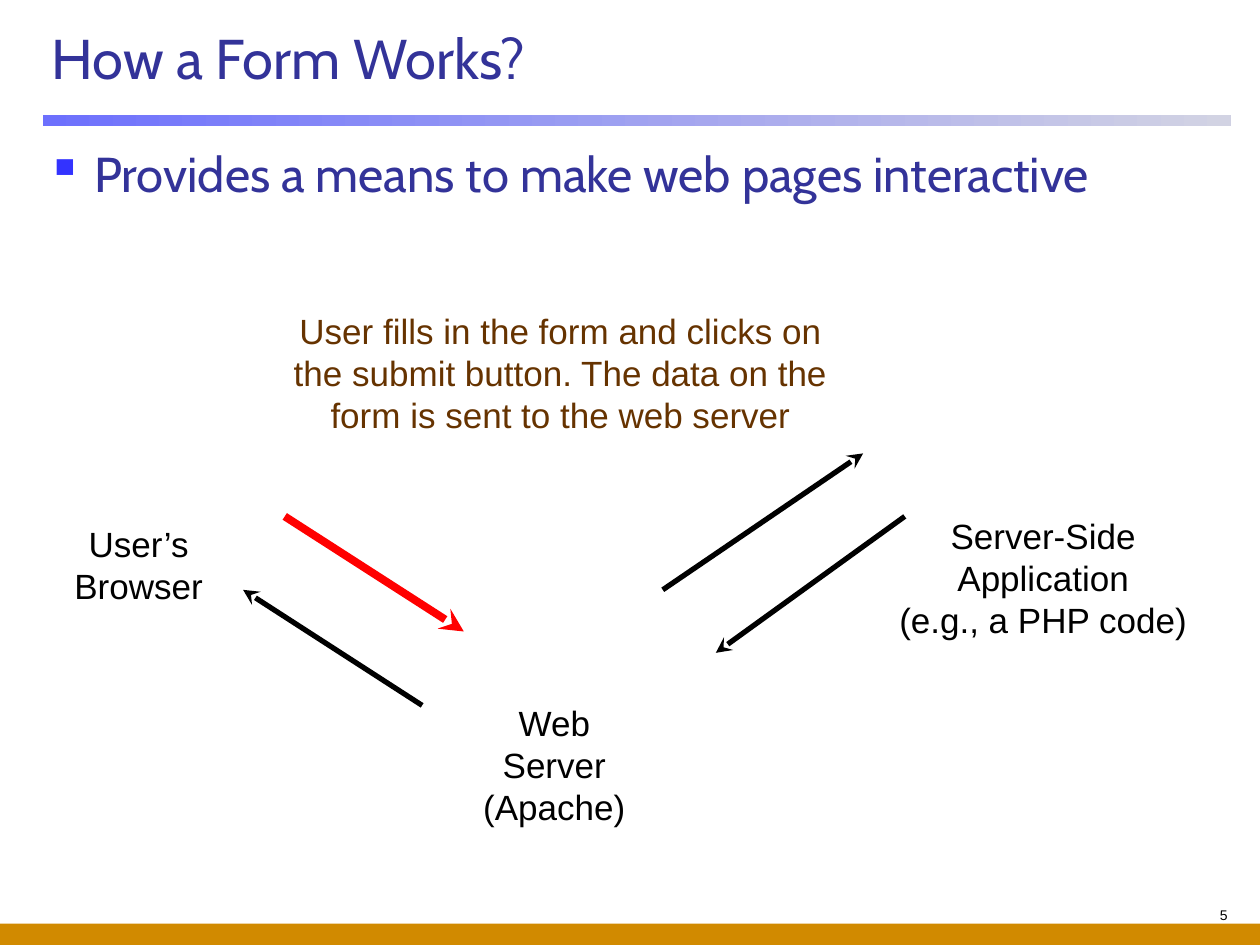
"""Build a slide that shows how a web form travels between browser, server and application."""
from lxml import etree
from pptx import Presentation
from pptx.dml.color import RGBColor
from pptx.enum import shapes, text
from pptx.oxml import ns
from pptx.util import Cm, Pt

BLACK = RGBColor(0x00, 0x00, 0x00)
NAVY = RGBColor(0x33, 0x33, 0x99)
BLUE = RGBColor(0x33, 0x33, 0xFF)
BROWN = RGBColor(0x66, 0x33, 0x00)
RED = RGBColor(0xFF, 0x00, 0x00)
GOLD = RGBColor(0xD1, 0x8A, 0x00)
FADE = RGBColor(0x6D, 0x70, 0xFD), RGBColor(0xD2, 0xD3, 0xE3)
MID = text.PP_ALIGN.CENTER


def add_bar(slide, box, *hues):
    shape = slide.shapes.add_shape(shapes.MSO_SHAPE.RECTANGLE, *map(Cm, box))
    shape.shadow.inherit = False
    shape.line.fill.background()
    if len(hues) == 1:
        shape.fill.solid()
        shape.fill.fore_color.rgb = hues[0]
    else:
        shape.fill.gradient()
        shape.fill.gradient_angle = 0
        for stop, hue in zip(shape.fill.gradient_stops, hues):
            stop.color.rgb = hue


def add_bullet(para, mark, hue, indent):
    props = para._p.get_or_add_pPr()
    props.set("marL", str(Cm(indent)))
    props.set("indent", str(-Cm(indent)))
    color = etree.SubElement(props, ns.qn("a:buClr"))
    etree.SubElement(color, ns.qn("a:srgbClr"), val=str(hue))
    etree.SubElement(props, ns.qn("a:buChar"), char=mark)


def add_text(slide, words, box, size=20, font="Arial", hue=BLACK,
             align=text.PP_ALIGN.LEFT, anchor=text.MSO_ANCHOR.TOP, mark=None):
    frame = slide.shapes.add_textbox(*map(Cm, box)).text_frame
    frame.word_wrap = True
    frame.vertical_anchor = anchor
    frame.text = words
    para = frame.paragraphs[0]
    para.alignment = align
    if mark:
        add_bullet(para, mark, BLUE, 0.96)
    para.font.size = Pt(size)
    para.font.name = font
    para.font.color.rgb = hue


def add_arrow(slide, start, end, hue=BLACK, width=3):
    arrow = slide.shapes.add_connector(
        shapes.MSO_CONNECTOR.STRAIGHT, *map(Cm, start + end))
    arrow.line.color.rgb = hue
    arrow.line.width = Pt(width)
    etree.SubElement(arrow.line._get_or_add_ln(), ns.qn("a:tailEnd"), type="stealth")
    etree.SubElement(arrow._element.spPr, ns.qn("a:effectLst"))


def main():
    deck = Presentation()
    deck.slide_width, deck.slide_height = Cm(25.4), Cm(19.05)
    slide = deck.slides.add_slide(deck.slide_layouts[6])

    add_bar(slide, (0, 18.62, 25.4, 0.43), GOLD)
    add_bar(slide, (0.86, 2.31, 23.95, 0.23), *FADE)
    add_text(slide, "How a Form Works?", (0.79, 0.25, 24.4, 1.8), size=32,
             font="Cabin", hue=NAVY, anchor=text.MSO_ANCHOR.MIDDLE)
    add_text(slide, "Provides a means to make web pages interactive",
             (0.69, 2.77, 24, 15.57), size=28, font="Cabin", hue=NAVY, mark="▪")
    add_text(slide, "5", (21.39, 18.16, 3.61, 0.84), size=8, align=text.PP_ALIGN.RIGHT)

    add_arrow(slide, (5.74, 10.41), (9.35, 12.73), hue=RED, width=4.5)
    add_arrow(slide, (13.36, 11.89), (17.4, 9.14))
    add_arrow(slide, (18.24, 10.41), (14.43, 13.16))
    add_arrow(slide, (8.51, 14.22), (4.9, 11.89))

    add_text(slide, "Web Server (Apache)", (9.17, 14.02, 4.01, 4.11), align=MID)
    add_text(slide, "Server-Side Application\v(e.g., a PHP code)",
             (17.73, 10.24, 6.6, 2.82), align=MID)
    add_text(slide, "User fills in the form and clicks on the submit button. "
             "The data on the form is sent to the web server",
             (5.38, 6.12, 11.84, 1.96), hue=BROWN, align=MID)
    add_text(slide, "User’s Browser", (0.79, 10.41, 4.01, 1.96), align=MID)
    deck.save("out.pptx")


if __name__ == "__main__":
    main()
